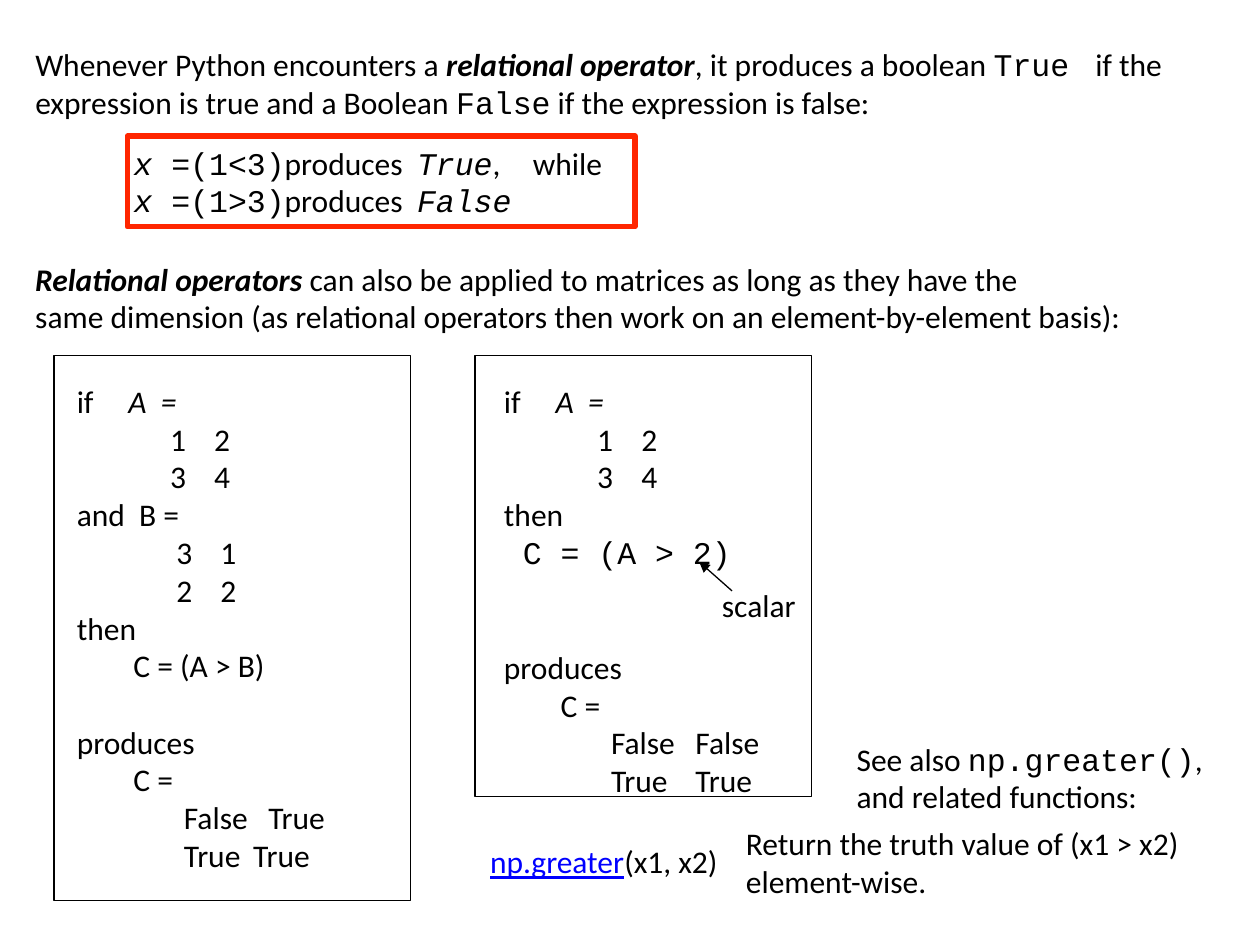
from dataclasses import dataclass

from lxml.etree import SubElement
from pptx import Presentation
from pptx.dml.color import RGBColor as RGB
from pptx.enum.shapes import MSO_CONNECTOR as LINE, MSO_SHAPE as SHAPE
from pptx.enum.text import MSO_ANCHOR as ANCHOR
from pptx.oxml.ns import qn
from pptx.util import Inches, Pt


@dataclass(frozen=True)
class Theme:
    body: str = "Calibri"
    code: str = "Courier New"
    size: float = 18
    ink: str = "000000"
    link: str = "0000FF"
    accent: str = "FF2600"
    thin: float = 0.75
    thick: float = 3
    line_height: float = 22
    inset: float = 0.06


THEME = Theme()
NO_GRID_STYLE = "{2D5ABB26-0587-4C30-8999-92F81FD0307C}"

STRONG = {"bold": True, "italic": True}
ITALIC = {"italic": True}
CODE = {"font": THEME.code}
CODE_ITALIC = {**CODE, **ITALIC}
LINK = {"color": THEME.link, "underline": True}


def paragraph(*runs, tabs=(), lines_before=0):
    return {"runs": runs, "tabs": tabs, "lines_before": lines_before}


INTRO = [paragraph(
    ("Whenever Python encounters a ", {}), ("relational operator", STRONG),
    (", it produces a boolean ", {}), ("True ", CODE),
    (" if the expression is true and a Boolean ", {}), ("False", CODE),
    (" if the expression is false:", {}))]

EXAMPLE_TABS = (2.25, 3.17)
EXAMPLES = [
    paragraph(("x", CODE_ITALIC), (" =(1<3)", CODE), ("produces\t", {}),
              ("True", CODE_ITALIC), (",\twhile", {}), tabs=EXAMPLE_TABS),
    paragraph(("x", CODE_ITALIC), (" =(1>3)", CODE), ("produces\t", {}),
              ("False", CODE_ITALIC), tabs=EXAMPLE_TABS),
]

MATRICES = [
    paragraph(("Relational operators", STRONG),
              (" can also be applied to matrices as long as they have the", {})),
    paragraph(("same dimension (as relational operators then work on an "
               "element-by-element basis):", {})),
]


def matrix(rows, *tabs):
    return [paragraph(("".join(f"\t{entry}" for entry in row), {}), tabs=tabs)
            for row in rows]


def produces(lines_before):
    return [paragraph(("produces", {}), lines_before=lines_before),
            paragraph(("\tC =", {}), tabs=(0.45,))]


GIVEN_A = [paragraph(("if\t", {}), ("A  =", ITALIC), tabs=(0.41,)),
           *matrix([(1, 2), (3, 4)], 0.74, 1.09)]
THEN = paragraph(("then", {}))

MATRIX_CASE = [
    *GIVEN_A,
    paragraph(("and  B =", {})),
    *matrix([(3, 1), (2, 2)], 0.79, 1.14),
    THEN,
    paragraph(("\tC = (A > B)", {}), tabs=(0.45,)),
    *produces(1),
    *matrix([("False", "True")], 0.85, 1.52),
    *matrix([("True", "True")], 0.85, 1.4),
]
SCALAR_CASE = [
    *GIVEN_A,
    THEN,
    paragraph((" C = (A > 2)", CODE)),
    *produces(2),
    *matrix([("False", "False"), ("True", "True")], 0.85, 1.52),
]
SCALAR = [paragraph(("scalar", {}))]
SEE_ALSO = [paragraph(("See also ", {}), ("np.greater()", CODE),
                      (", and related functions:", {}))]
REFERENCE = [
    (2.03, [paragraph(("np.greater", LINK), ("(x1,\u00a0x2)", {}))]),
    (4.11, [paragraph(("Return the truth value of (x1 > x2) element-wise.", {}))]),
]

TEXTS = [
    (INTRO, (0.22, 0.3, 9.78, 0.72), {}),
    (EXAMPLES, (1, 1.08, 4.11, 0.72), {}),
    (MATRICES, (0.22, 2, 9.64, 0.69), {}),
    (MATRIX_CASE, (0.55, 2.97, 2.64, 4.05), {}),
    (SCALAR_CASE, (3.94, 2.97, 2.64, 3.14), {}),
    (SCALAR, (5.67, 4.59, 0.84, 0.39), {"wrap": False}),
    (SEE_ALSO, (6.7, 5.82, 3.02, 0.71), {"inset": (0.1, 0.05)}),
]
FRAMES = [
    ((0.43, 2.82, 2.83, 4.33), THEME.ink, THEME.thin),
    ((3.77, 2.82, 2.67, 3.5), THEME.ink, THEME.thin),
    ((1.01, 1.08, 4.03, 0.72), THEME.accent, THEME.thick),
]
SCALAR_ARROW = (5.81, 4.69, 5.55, 4.46)
REFERENCE_PLACE = (3.79, 6.5, 6.14, 0.7)


def inches(place):
    return [Inches(length) for length in place]


def add_run(line, text, font=THEME.body, color=THEME.ink, bold=False,
            italic=False, underline=False):
    run = line.add_run()
    run.text = text
    run.font.name = font
    run.font.size = Pt(THEME.size)
    run.font.color.rgb = RGB.from_string(color)
    run.font.bold = bold
    run.font.italic = italic
    run.font.underline = underline


def write(frame, paragraphs):
    for index, content in enumerate(paragraphs):
        line = frame.add_paragraph() if index else frame.paragraphs[0]
        if content["lines_before"]:
            line.space_before = Pt(content["lines_before"] * THEME.line_height)
        if content["tabs"]:
            stops = SubElement(line._p.get_or_add_pPr(), qn("a:tabLst"))
            for position in content["tabs"]:
                SubElement(stops, qn("a:tab"), pos=str(Inches(position)), algn="l")
        for text, style in content["runs"]:
            add_run(line, text, **style)


def add_text(slide, paragraphs, place, wrap=True, inset=(THEME.inset, THEME.inset)):
    frame = slide.shapes.add_textbox(*inches(place)).text_frame
    frame.word_wrap = wrap
    frame.margin_left = frame.margin_right = Inches(inset[0])
    frame.margin_top = frame.margin_bottom = Inches(inset[1])
    write(frame, paragraphs)


def set_line(line, color, width):
    line.color.rgb = RGB.from_string(color)
    line.width = Pt(width)


def add_frame(slide, place, color, width):
    frame = slide.shapes.add_shape(SHAPE.RECTANGLE, *inches(place))
    frame.shadow.inherit = False
    frame.fill.background()
    set_line(frame.line, color, width)


def add_arrow(slide, ends):
    arrow = slide.shapes.add_connector(LINE.STRAIGHT, *inches(ends))
    set_line(arrow.line, THEME.ink, THEME.thin)
    SubElement(arrow.line._get_or_add_ln(), qn("a:tailEnd"), type="triangle")
    SubElement(arrow._element.spPr, qn("a:effectLst"))


def add_reference(slide, columns, place):
    table = slide.shapes.add_table(1, len(columns), *inches(place)).table
    table.first_row = table.horz_banding = False
    table._tbl.tblPr.find(qn("a:tableStyleId")).text = NO_GRID_STYLE
    for index, (width, paragraphs) in enumerate(columns):
        table.columns[index].width = Inches(width)
        cell = table.cell(0, index)
        cell.fill.background()
        cell.vertical_anchor = ANCHOR.MIDDLE
        write(cell.text_frame, paragraphs)


def main():
    deck = Presentation()
    deck.slide_width, deck.slide_height = Inches(10), Inches(7.5)
    slide = deck.slides.add_slide(deck.slide_layouts[6])
    for place, color, width in FRAMES:
        add_frame(slide, place, color, width)
    for paragraphs, place, layout in TEXTS:
        add_text(slide, paragraphs, place, **layout)
    add_arrow(slide, SCALAR_ARROW)
    add_reference(slide, REFERENCE, REFERENCE_PLACE)
    deck.save("out.pptx")


if __name__ == "__main__":
    main()
